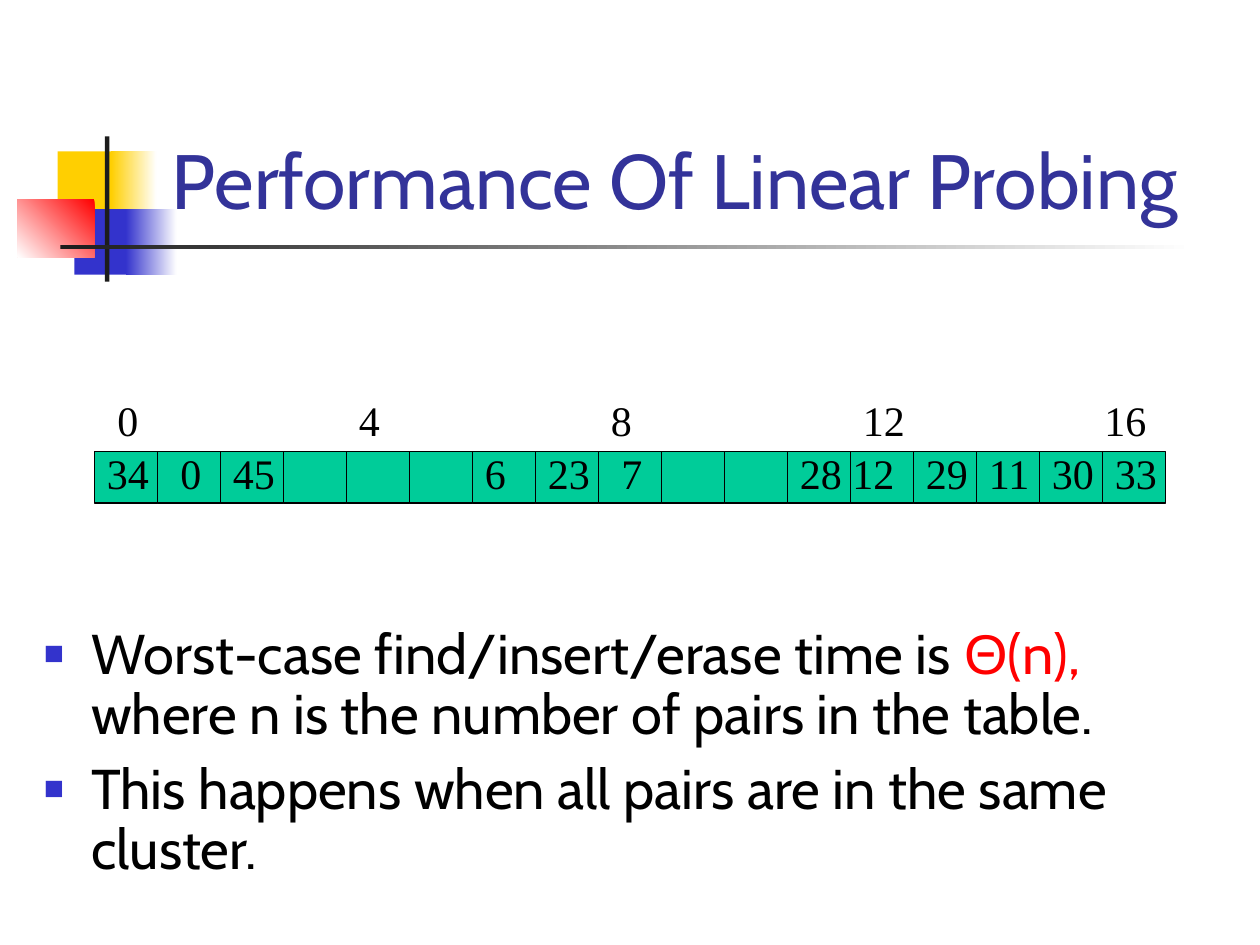
from dataclasses import dataclass

from lxml import etree
from pptx import Presentation
from pptx.dml.color import RGBColor
from pptx.enum.shapes import MSO_SHAPE
from pptx.enum.text import MSO_ANCHOR
from pptx.oxml.ns import qn
from pptx.util import Pt

RECTANGLE = MSO_SHAPE.RECTANGLE
BOTTOM, TOP = MSO_ANCHOR.BOTTOM, MSO_ANCHOR.TOP


@dataclass(frozen=True)
class Theme:
    """Colours, fonts and type sizes of the slide."""
    white: str = "FFFFFF"
    black: str = "000000"
    ink: str = "1C1C1C"
    yellow: str = "FFCF01"
    blue: str = "3333CC"
    red: str = "FF0000"
    title: str = "333399"
    slot: str = "00CC99"
    sans: str = "Cabin"
    symbol: str = "Arial"
    serif: str = "Times New Roman"
    title_size: int = 44
    body_size: int = 32
    slot_size: int = 24


THEME = Theme()
SLOT_LEFT, SLOT_TOP, SLOT_WIDTH, SLOT_HEIGHT = 54, 258, 36, 29.5
SLOT_COUNT = 17
INDEX_TOP, VALUE_TOP = 222, 252
NUDGE = 6
INDEXES = [(0, "0", NUDGE), (4, "4", 0), (8, "8", 0), (12, "12", 0), (16, "16", -NUDGE)]
VALUES = [
    (0, "34", 0), (1, "0", NUDGE), (2, "45", 0), (6, "6", 0), (7, "23", 0),
    (8, "7", NUDGE), (11, "28", 0), (12, "12", -NUDGE), (13, "29", 0),
    (14, "11", 0), (15, "30", 0), (16, "33", 0),
]
BULLETS = [
    [
        ("Worst-case find/insert/erase time is ", THEME.sans, THEME.black),
        ("Θ", THEME.symbol, THEME.red),
        ("(n),", THEME.sans, THEME.red),
        (" where n is the number of pairs in the table.", THEME.sans, THEME.black),
    ],
    [("This happens when all pairs are in the same cluster.", THEME.sans, THEME.black)],
]


def rgb(code):
    """Return the colour for a hex code."""
    return RGBColor.from_string(code)


def add_block(slide, box, color, fade_angle=None, outline=None):
    """Add a rectangle, plain or fading to white."""
    block = slide.shapes.add_shape(RECTANGLE, *map(Pt, box))
    block.shadow.inherit = False
    if fade_angle is None:
        block.fill.solid()
        block.fill.fore_color.rgb = rgb(color)
    else:
        block.fill.gradient()
        block.fill.gradient_angle = fade_angle
        for stop, code in zip(block.fill.gradient_stops, (color, THEME.white)):
            stop.color.rgb = rgb(code)
    if outline:
        block.line.color.rgb = rgb(outline)
        block.line.width = Pt(1)
    else:
        block.line.fill.background()


def add_frame(slide, box, anchor=TOP):
    """Add a wrapping text box and return its text frame."""
    frame = slide.shapes.add_textbox(*map(Pt, box)).text_frame
    frame.word_wrap = True
    frame.vertical_anchor = anchor
    return frame


def add_run(paragraph, text, font, size, color):
    """Append a formatted run to a paragraph."""
    run = paragraph.add_run()
    run.text = text
    run.font.name = font
    run.font.size = Pt(size)
    run.font.color.rgb = rgb(color)


def set_bullet(paragraph, indent):
    """Give a paragraph a small blue square bullet and a hanging indent."""
    props = paragraph._p.get_or_add_pPr()
    props.set("marL", str(Pt(indent)))
    props.set("indent", str(-Pt(indent)))
    color = etree.SubElement(props, qn("a:buClr"))
    etree.SubElement(color, qn("a:srgbClr"), val=THEME.blue)
    etree.SubElement(props, qn("a:buSzPct"), val="60000")
    etree.SubElement(props, qn("a:buFont"), typeface=THEME.symbol)
    etree.SubElement(props, qn("a:buChar"), char="■")


def add_ornament(slide):
    """Add the coloured squares and the crossing bars beside the title."""
    add_block(slide, (33, 86.5, 34.5, 37.5), THEME.yellow)
    add_block(slide, (63.5, 86.5, 26, 37.5), THEME.yellow, 0)
    add_block(slide, (42.5, 119.5, 33, 37.5), THEME.blue)
    add_block(slide, (72, 119.5, 29, 37.5), THEME.blue, 0)
    add_block(slide, (10, 114, 44, 33), THEME.red, 225)
    add_block(slide, (60, 78, 2.5, 83), THEME.ink)
    add_block(slide, (34.5, 140, 648, 2.5), THEME.ink, 0)


def add_title(slide, text):
    """Add the slide title."""
    title = add_frame(slide, (91, 16.5, 613.5, 115.5), BOTTOM).paragraphs[0]
    title.line_spacing = 1.02
    add_run(title, text, THEME.sans, THEME.title_size, THEME.title)


def add_bullets(slide, bullets):
    """Add the bulleted statements."""
    frame = add_frame(slide, (18, 354, 678, 189))
    for number, runs in enumerate(bullets):
        statement = frame.add_paragraph() if number else frame.paragraphs[0]
        statement.line_spacing = 0.9
        statement.space_before = Pt(8)
        set_bullet(statement, 27)
        for text, font, color in runs:
            add_run(statement, text, font, THEME.body_size, color)


def add_numbers(slide, numbers, top):
    """Add a row of numbers, each placed by its slot."""
    for slot, text, shift in numbers:
        left = SLOT_LEFT + slot * SLOT_WIDTH + shift
        width = 18 + 12 * len(text)
        number = add_frame(slide, (left, top, width, 36)).paragraphs[0]
        number.space_before = Pt(15)
        add_run(number, text, THEME.serif, THEME.slot_size, THEME.black)


def add_hash_table(slide):
    """Add the row of slots with its indexes and values."""
    for slot in range(SLOT_COUNT):
        left = SLOT_LEFT + slot * SLOT_WIDTH
        add_block(slide, (left, SLOT_TOP, SLOT_WIDTH, SLOT_HEIGHT), THEME.slot,
                  outline=THEME.black)
    add_numbers(slide, INDEXES, INDEX_TOP)
    add_numbers(slide, VALUES, VALUE_TOP)


def main():
    """Build the slide and save it."""
    deck = Presentation()
    deck.slide_width, deck.slide_height = Pt(720), Pt(540)
    slide = deck.slides.add_slide(deck.slide_layouts[6])
    add_ornament(slide)
    add_title(slide, "Performance Of Linear Probing")
    add_bullets(slide, BULLETS)
    add_hash_table(slide)
    deck.save("out.pptx")


if __name__ == "__main__":
    main()
